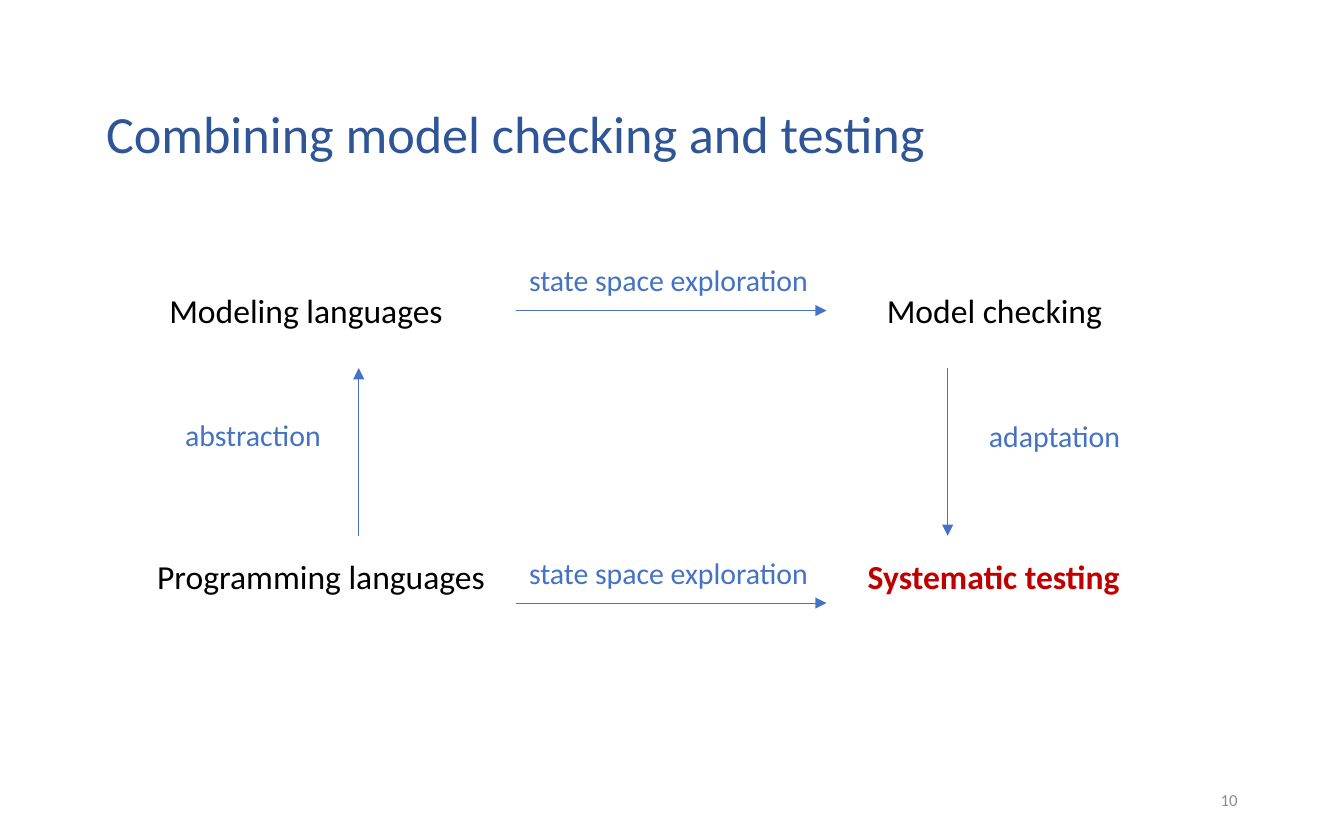
from lxml.etree import SubElement
from pptx import Presentation
from pptx.dml.color import RGBColor
from pptx.enum.shapes import MSO_CONNECTOR
from pptx.enum.text import MSO_ANCHOR, MSO_AUTO_SIZE, PP_ALIGN
from pptx.oxml.ns import qn
from pptx.util import Cm, Pt

BLACK, BLUE, NAVY, RED, GREY = "000000", "4472C4", "2F5597", "C00000", "8C8C8C"


def rgb(code):
    """Turn a hex string into a colour."""
    return RGBColor.from_string(code)


def write(holder, text, size, color, bold=False, align=PP_ALIGN.LEFT,
          anchor=MSO_ANCHOR.TOP, wrap=False, spacing=1.0):
    """Fill a shape with one formatted paragraph."""
    frame = holder.text_frame
    frame.text = text
    frame.word_wrap = wrap
    frame.auto_size = MSO_AUTO_SIZE.NONE if wrap else MSO_AUTO_SIZE.SHAPE_TO_FIT_TEXT
    frame.vertical_anchor = anchor
    paragraph = frame.paragraphs[0]
    paragraph.alignment = align
    paragraph.line_spacing = spacing
    font = paragraph.runs[0].font
    font.name, font.size, font.bold = "Calibri", Pt(size), bold
    font.color.rgb = rgb(color)


def add_title(slide, text):
    """Place the heading in the title placeholder."""
    heading = slide.shapes.title
    heading.left, heading.top = Cm(1.75), Cm(1.8)
    heading.width, heading.height = Cm(21.9), Cm(1.57)
    write(heading, text, 28, NAVY, anchor=MSO_ANCHOR.MIDDLE, wrap=True, spacing=0.9)


def add_text(slide, text, left, top, width, height, **style):
    """Add a text box with its position in centimetres."""
    box = slide.shapes.add_textbox(Cm(left), Cm(top), Cm(width), Cm(height))
    write(box, text, **style)


def add_concept(slide, text, left, top, width, **style):
    """Add one corner of the diagram."""
    add_text(slide, text, left, top, width, 1.02, size=18, **style)


def add_step(slide, text, left, top, width):
    """Add the label of an arrow."""
    add_text(slide, text, left, top, width, 0.94, size=16, color=BLUE)


def add_arrow(slide, start_x, start_y, end_x, end_y):
    """Draw a thin line with a triangle at its end."""
    arrow = slide.shapes.add_connector(
        MSO_CONNECTOR.STRAIGHT, Cm(start_x), Cm(start_y), Cm(end_x), Cm(end_y))
    arrow.line.color.rgb = rgb(BLUE)
    arrow.line.width = Pt(0.5)
    SubElement(arrow.line._get_or_add_ln(), qn("a:tailEnd"), type="triangle")
    SubElement(arrow._element.spPr, qn("a:effectLst"))


def main():
    """Build the slide and save it."""
    deck = Presentation()
    deck.slide_width, deck.slide_height = Cm(25.4), Cm(15.88)
    slide = deck.slides.add_slide(deck.slide_layouts[5])
    add_title(slide, "Combining model checking and testing")

    upper, lower = 5.36, 10.39
    add_concept(slide, "Modeling languages", 2.95, upper, 5.74, color=BLACK)
    add_concept(slide, "Programming languages", 2.72, lower, 6.78, color=BLACK)
    add_concept(slide, "Model checking", 16.51, upper, 4.62, color=BLACK)
    add_concept(slide, "Systematic testing", 16.15, lower, 5.31, color=RED, bold=True)

    across_left, across_right = 9.75, 15.62
    for across_y in (5.87, 11.4):
        add_arrow(slide, across_left, across_y, across_right, across_y)
        add_step(slide, "state space exploration", across_left, across_y - 1.04,
                 across_right - across_left)

    side_top, side_bottom = 6.96, 10.13
    add_arrow(slide, 6.78, side_bottom, 6.78, side_top)
    add_step(slide, "abstraction", 3.25, 7.75, 3.1)
    add_arrow(slide, 17.91, side_top, 17.91, side_bottom)
    add_step(slide, "adaptation", 18.44, 7.77, 3.02)

    add_text(slide, "10", 22.07, 14.71, 1.57, 0.84, size=9, color=GREY,
             align=PP_ALIGN.RIGHT, anchor=MSO_ANCHOR.MIDDLE, wrap=True)
    deck.save("out.pptx")


if __name__ == "__main__":
    main()
